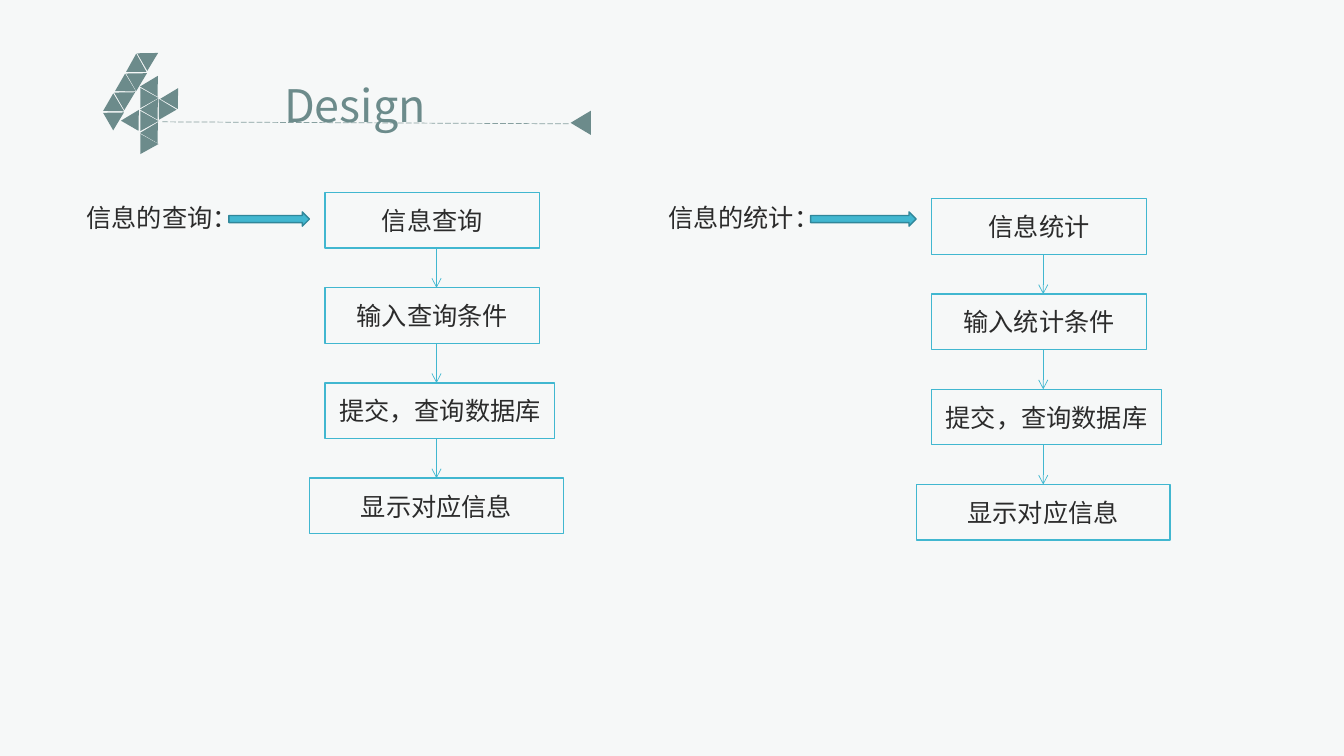
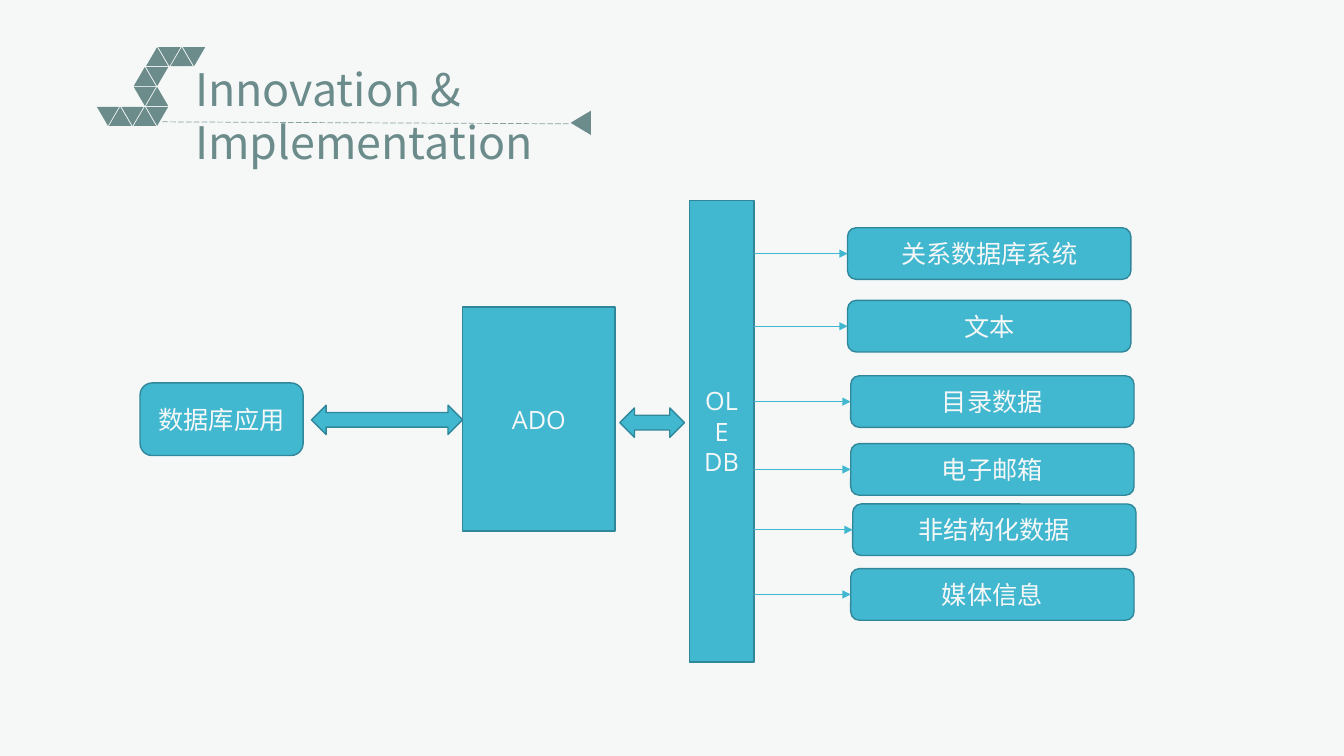
from lxml.etree import SubElement
from pptx import Presentation
from pptx.dml.color import RGBColor
from pptx.enum.dml import MSO_LINE
from pptx.enum.shapes import MSO_CONNECTOR, MSO_SHAPE
from pptx.enum.text import MSO_ANCHOR, PP_ALIGN
from pptx.oxml.ns import qn
from pptx.util import Cm, Pt

PAPER = RGBColor(0xF6, 0xF8, 0xF8)
INK = RGBColor(0x2B, 0x2B, 0x2B)
SAGE = RGBColor(0x6C, 0x8B, 0x8B)
TEAL = RGBColor(0x41, 0xB7, 0xD0)
DARK_TEAL = RGBColor(0x30, 0x87, 0x9A)
TITLE_FONT = "Noto Sans CJK SC"
BODY_FONT = "Open Sans"

FOUR_TRIANGLES = [
    (0.51, 0.13, 0), (0.58, 0.51, 60), (0.3, 0.74, 120), (0.28, 0.99, 60),
    (0, 1.24, 120), (0, 1.5, 60), (0.86, 0, 60), (0.94, 0.66, 30),
    (0.84, 1.02, 90), (0.94, 1.24, 30), (0.84, 1.6, 90), (0.94, 1.83, 30),
    (0.84, 2.18, 90), (1.45, 0.97, 30), (1.19, 1.24, 330), (0.46, 1.52, 30),
]
FIVE_ROWS = [range(4, 8), range(3, 5), range(3, 5), range(0, 5)]
FIVE_TRIANGLES = [
    (0.31 * column, 0.5 * row, 180 * ((column + row) % 2))
    for row, columns in enumerate(FIVE_ROWS) for column in columns
]
SOURCES = [
    ("关系数据库系统", 0, 0), ("文本", 0, 1.83), ("目录数据", 0.08, 3.73),
    ("电子邮箱", 0.08, 5.44), ("非结构化数据", 0.13, 6.96), ("媒体信息", 0.08, 8.59),
]


def write(frame, text, size, font, color, align=PP_ALIGN.LEFT):
    """Fill a text frame and format all its runs alike."""
    frame.text = text
    for para in frame.paragraphs:
        para.alignment = align
        for span in para.runs:
            span.font.size = Pt(size)
            span.font.color.rgb = color
            span.font.name = font
            SubElement(span.font._element, qn("a:ea")).set("typeface", TITLE_FONT)


def add_text(page, text, left, top, width, height, size, font, color, wrap=True):
    """Add a text box."""
    box = page.shapes.add_textbox(Cm(left), Cm(top), Cm(width), Cm(height))
    box.text_frame.word_wrap = wrap
    write(box.text_frame, text, size, font, color)


def add_box(page, kind, left, top, width, height, text="",
            fill=TEAL, line=DARK_TEAL, color=PAPER):
    """Add an outlined shape with optional centred text."""
    box = page.shapes.add_shape(kind, Cm(left), Cm(top), Cm(width), Cm(height))
    box.shadow.inherit = False
    box.fill.solid()
    box.fill.fore_color.rgb = fill
    box.line.color.rgb = line
    box.line.width = Pt(1)
    if text:
        box.text_frame.vertical_anchor = MSO_ANCHOR.MIDDLE
        write(box.text_frame, text, 18, BODY_FONT, color, PP_ALIGN.CENTER)
    return box


def add_line(page, start, end, color, head=None):
    """Add a thin straight connector between two points given as lengths."""
    line = page.shapes.add_connector(MSO_CONNECTOR.STRAIGHT, *start, *end)
    line.line.color.rgb = color
    line.line.width = Pt(0.5)
    if head:
        SubElement(line.line._get_or_add_ln(), qn("a:tailEnd")).set("type", head)
    SubElement(line._element.spPr, qn("a:effectLst"))
    return line


def add_triangle(shapes, left, top, width, height, rotation):
    """Add a plain rotated triangle."""
    triangle = shapes.add_shape(
        MSO_SHAPE.ISOSCELES_TRIANGLE, Cm(left), Cm(top), Cm(width), Cm(height))
    triangle.rotation = rotation
    triangle.shadow.inherit = False
    triangle.fill.solid()
    triangle.fill.fore_color.rgb = SAGE
    triangle.line.fill.background()


def add_numeral(page, left, top, width, height, triangles):
    """Build a section numeral from a group of equal triangles."""
    group = page.shapes.add_group_shape()
    for x, y, rotation in triangles:
        add_triangle(group.shapes, left + x, top + y, width, height, rotation)


def add_header(page, title, left, top, width, height, wrap):
    """Add the dashed title rule, its arrowhead and the title."""
    rule = add_line(page, (Cm(4.09), Cm(3.07)), (Cm(14.38), Cm(3.12)), SAGE)
    rule.line.dash_style = MSO_LINE.LONG_DASH
    tint = next(rule._element.iter(qn("a:srgbClr")))
    SubElement(tint, qn("a:alpha")).set("val", "80000")
    add_triangle(page.shapes, 14.33, 2.84, 0.61, 0.51, 270)
    add_text(page, title, left, top, width, height, 32, TITLE_FONT, SAGE, wrap)


def add_flow(page, left, top, label, label_width, chain_x, chain_y, steps):
    """Add a label, a block arrow and a descending chain of steps."""
    add_text(page, label, left, top, label_width, 1.02, 18, BODY_FONT, INK)
    add_box(page, MSO_SHAPE.RIGHT_ARROW, left + 3.84, top + 0.36, chain_x - 3.84, 0.36)
    height, pitch, axis = 1.4, 2.4, 3.2
    spans = [(0.39, 5.41), (0.39, 5.41), (0.39, 5.79), (0, 2 * axis)]
    chain_left, chain_top = left + chain_x, top + chain_y
    boxes = [
        add_box(page, MSO_SHAPE.RECTANGLE, chain_left + x, chain_top + pitch * row,
                width, height, step, PAPER, TEAL, INK)
        for row, (step, (x, width)) in enumerate(zip(steps, spans))
    ]
    center = Cm(chain_left + axis)
    for upper, lower in zip(boxes, boxes[1:]):
        line = add_line(page, (center, upper.top + upper.height),
                        (center, lower.top), TEAL, "arrow")
    line.end_connect(boxes[-1], 0)


def add_access_layers(page, left, top):
    """Add the application, ADO and OLE DB layers and return the last."""
    add_box(page, MSO_SHAPE.RECTANGLE, left + 8.13, top + 2.69, 3.84, 5.64, "ADO")
    add_box(page, MSO_SHAPE.ROUNDED_RECTANGLE, left, top + 4.6, 4.11, 1.83, "数据库应用")
    for x, y, width in [(4.32, 5.16, 3.81), (12.09, 5.23, 1.63)]:
        add_box(page, MSO_SHAPE.LEFT_RIGHT_ARROW, left + x, top + y, width, 0.74)
    return add_box(page, MSO_SHAPE.RECTANGLE, left + 13.84, top, 1.63, 11.63, "OLE\nDB")


def add_sources(page, left, top, hub):
    """Add the data sources, each joined to the hub by an arrow."""
    for name, x, y in SOURCES:
        box = add_box(page, MSO_SHAPE.ROUNDED_RECTANGLE, left + x, top + y, 7.14, 1.3, name)
        middle = box.top + box.height // 2
        line = add_line(page, (hub.left + hub.width, middle), (box.left, middle),
                        TEAL, "triangle")
        line.end_connect(box, 1)


def build_design(page):
    """Build the slide with the query and statistics flows."""
    add_header(page, "Design", 6.91, 1.83, 4.22, 1.63, False)
    add_numeral(page, 2.67, 1.22, 0.51, 0.46, FOUR_TRIANGLES)
    add_flow(page, 1.93, 4.98, "信息的查询：", 8.41, 5.87, -0.13,
             ["信息查询", "输入查询条件", "提交，查询数据库", "显示对应信息"])
    add_flow(page, 16.59, 4.98, "信息的统计：", 10.01, 6.5, 0.03,
             ["信息统计", "输入统计条件", "提交，查询数据库", "显示对应信息"])


def build_innovation(page):
    """Build the slide with the data access architecture."""
    add_header(page, "Innovation & Implementation", 4.67, 1.42, 11.76, 3, True)
    add_numeral(page, 2.44, 1.19, 0.56, 0.48, FIVE_TRIANGLES)
    hub = add_access_layers(page, 3.53, 5.05)
    add_sources(page, 21.36, 5.74, hub)


def main():
    """Create the deck and save it."""
    deck = Presentation()
    deck.slide_width, deck.slide_height = Cm(33.87), Cm(19.05)
    backdrop = deck.slide_master.background.fill
    backdrop.solid()
    backdrop.fore_color.rgb = PAPER
    for build in (build_design, build_innovation):
        build(deck.slides.add_slide(deck.slide_layouts[6]))
    deck.save("out.pptx")


if __name__ == "__main__":
    main()
